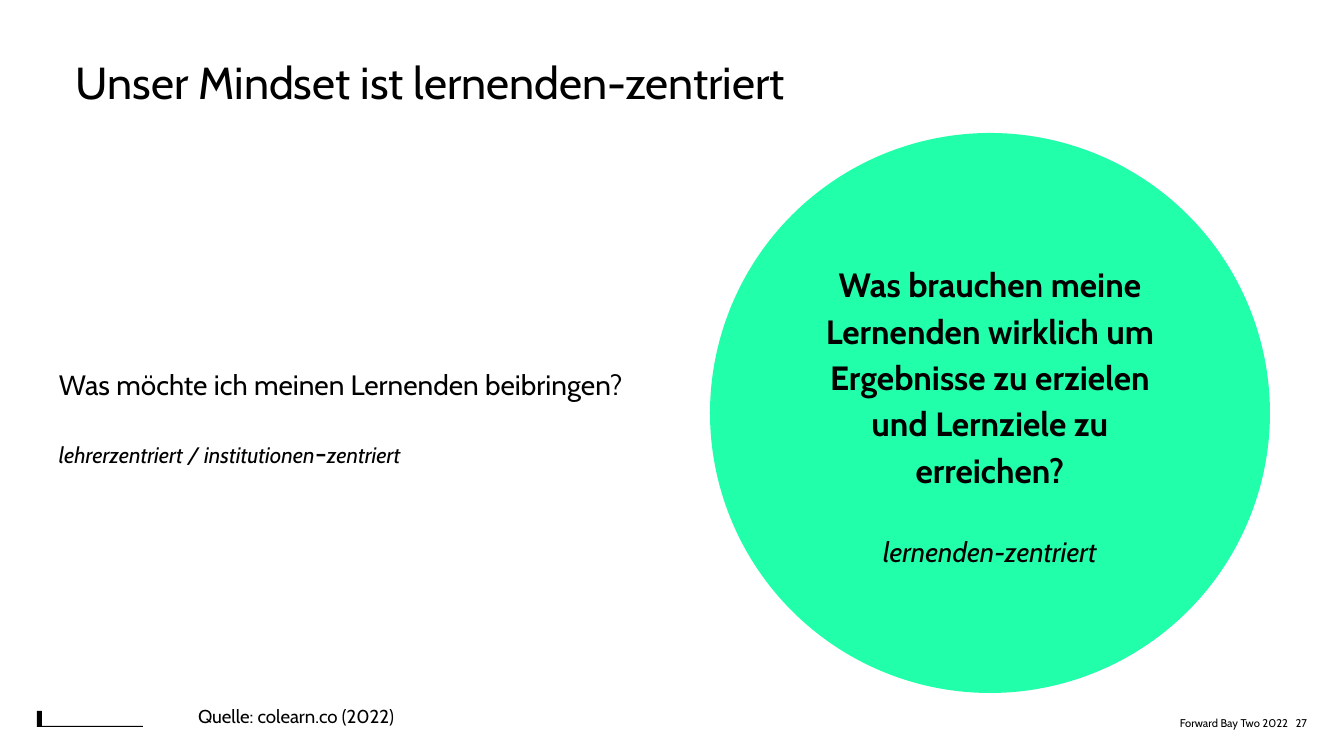
from dataclasses import dataclass

import pptx
import pptx.dml.color
import pptx.enum.shapes
import pptx.enum.text
import pptx.util

EMU_PER_PX = 914400 / 134.4
FONT = "Cabin"
COLORS = {"black": "000000", "mint": "22FFAA"}
ALIGN = pptx.enum.text.PP_ALIGN
ANCHOR = pptx.enum.text.MSO_ANCHOR


@dataclass(frozen=True)
class Box:
    left: int
    top: int
    width: int
    height: int


@dataclass(frozen=True)
class Run:
    text: str
    size: int
    bold: bool = False
    italic: bool = False


@dataclass(frozen=True)
class Paragraph:
    runs: tuple[Run, ...]
    space_before: int = 0


@dataclass(frozen=True)
class TextBlock:
    box: Box
    paragraphs: tuple[Paragraph, ...]
    insets: tuple[int, int, int, int] = (13, 13, 13, 13)  # left, top, right, bottom
    align: ALIGN = ALIGN.LEFT
    anchor: ANCHOR = ANCHOR.TOP
    line_spacing: float = 1.0


def px(length: int) -> pptx.util.Emu:
    return pptx.util.Emu(round(length * EMU_PER_PX))


def place(box: Box) -> tuple[pptx.util.Emu, ...]:
    return px(box.left), px(box.top), px(box.width), px(box.height)


def rgb(name: str) -> pptx.dml.color.RGBColor:
    return pptx.dml.color.RGBColor.from_string(COLORS[name])


def line_of(text: str, size: int) -> tuple[Paragraph, ...]:
    return (Paragraph((Run(text, size),)),)


def fill_plain(shape, color: str) -> None:
    shape.shadow.inherit = False
    shape.fill.solid()
    shape.fill.fore_color.rgb = rgb(color)
    shape.line.fill.background()


def write_text(shape, block: TextBlock) -> None:
    frame = shape.text_frame
    frame.word_wrap = True
    frame.vertical_anchor = block.anchor
    (frame.margin_left, frame.margin_top,
     frame.margin_right, frame.margin_bottom) = map(px, block.insets)
    for index, content in enumerate(block.paragraphs):
        paragraph = frame.add_paragraph() if index else frame.paragraphs[0]
        paragraph.alignment = block.align
        paragraph.line_spacing = block.line_spacing
        if content.space_before:
            paragraph.space_before = pptx.util.Pt(content.space_before)
        for part in content.runs:
            run = paragraph.add_run()
            run.text = part.text
            run.font.name = FONT
            run.font.size = pptx.util.Pt(part.size)
            run.font.bold = part.bold
            run.font.italic = part.italic
            run.font.color.rgb = rgb("black")


def add_text(slide, block: TextBlock) -> None:
    write_text(slide.shapes.add_textbox(*place(block.box)), block)


def add_corner(slide, box: Box, bar: int, rule: int) -> None:
    """Draw an L with an upright of width bar and a foot of height rule."""
    right, bottom = box.left + box.width, box.top + box.height
    builder = slide.shapes.build_freeform(box.left, box.top, EMU_PER_PX)
    builder.add_line_segments([
        (box.left + bar, box.top),
        (box.left + bar, bottom - rule),
        (right, bottom - rule),
        (right, bottom),
        (box.left, bottom),
    ], close=True)
    fill_plain(builder.convert_to_shape(), "black")


LEARNER_VIEW = TextBlock(
    Box(710, 133, 560, 560),
    (
        Paragraph((Run("Was brauchen meine Lernenden wirklich um Ergebnisse "
                       "zu erzielen und Lernziele zu erreichen?", 18, bold=True),)),
        Paragraph((Run("lernenden-zentriert", 15, italic=True),), space_before=21),
    ),
    align=ALIGN.CENTER, anchor=ANCHOR.MIDDLE, line_spacing=1.15,
)

TEXT_BLOCKS = (
    # Teacher view
    TextBlock(Box(46, 355, 726, 129), (
        Paragraph((Run("Was möchte ich meinen Lernenden beibringen?", 15),)),
        Paragraph((
            Run("lehrerzentriert / institutionen", 12, italic=True),
            Run("-", 15),
            Run("zentriert", 12, italic=True),
        ), space_before=18),
    )),
    # Title
    TextBlock(Box(38, 28, 1254, 89),
              line_of("Unser Mindset ist lernenden-zentriert", 24),
              insets=(38, 38, 38, 38)),
    # Footer and page number
    TextBlock(Box(1048, 708, 240, 31), line_of("Forward Bay Two 2022", 6),
              insets=(13, 0, 0, 0), align=ALIGN.RIGHT, anchor=ANCHOR.MIDDLE),
    TextBlock(Box(1288, 708, 19, 31), line_of("27", 6),
              insets=(0, 0, 0, 0), align=ALIGN.RIGHT, anchor=ANCHOR.MIDDLE),
    # Source
    TextBlock(Box(185, 694, 775, 50), line_of("Quelle: colearn.co (2022)", 10)),
)


def main() -> None:
    presentation = pptx.Presentation()
    presentation.slide_width = px(1344)
    presentation.slide_height = px(756)
    slide = presentation.slides.add_slide(presentation.slide_layouts[6])

    # Circle with the learner view
    circle = slide.shapes.add_shape(
        pptx.enum.shapes.MSO_SHAPE.OVAL, *place(LEARNER_VIEW.box))
    fill_plain(circle, "mint")
    write_text(circle, LEARNER_VIEW)

    for block in TEXT_BLOCKS:
        add_text(slide, block)

    # Corner mark at the bottom left
    add_corner(slide, Box(37, 711, 106, 16), bar=5, rule=1)

    presentation.save("out.pptx")


if __name__ == "__main__":
    main()
